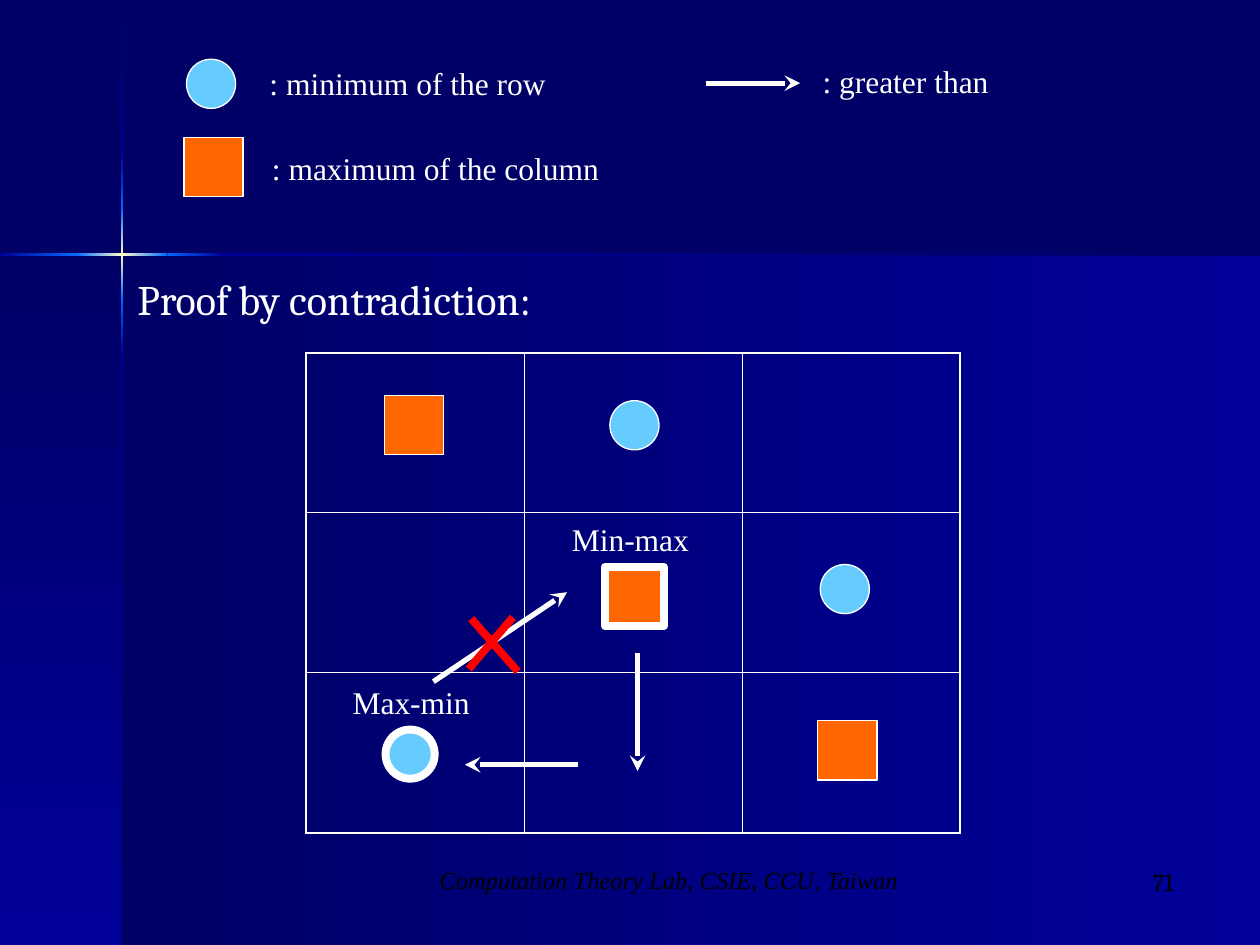
"""Build the max-min versus min-max proof slide."""
from dataclasses import dataclass
from itertools import pairwise, product
from typing import NamedTuple

from lxml.etree import SubElement
from pptx import Presentation
from pptx.dml.color import RGBColor as Rgb
from pptx.enum.shapes import MSO_CONNECTOR as Connector, MSO_SHAPE as Shape
from pptx.enum.text import MSO_ANCHOR as Anchor, PP_ALIGN as Align
from pptx.oxml.ns import qn
from pptx.util import Inches, Pt


@dataclass(frozen=True)
class Theme:
    navy: str = "000066"
    blue: str = "000099"
    glow: str = "0066FF"
    cream: str = "FFFFCC"
    white: str = "FFFFFF"
    black: str = "000000"
    red: str = "FF0000"
    sky: str = "66CCFF"
    orange: str = "FF6600"
    serif: str = "Times New Roman"
    heading: str = "Cambria"
    heading_size: float = 24
    label_size: float = 18
    footer_size: float = 14
    thin: float = 0.75
    arrow: float = 3
    thick: float = 4.5
    grid_inner: float = 0.45
    grid_outer: float = 1.08


THEME = Theme()


class Stop(NamedTuple):
    at: float
    color: str


class Marker(NamedTuple):
    left: float
    top: float
    width: float = THEME.thin


class Label(NamedTuple):
    text: str
    left: float
    top: float
    width: float
    height: float = 0.4
    size: float = THEME.label_size
    font: str = THEME.serif
    color: str = THEME.white
    align: Align = Align.LEFT
    italic: bool = False
    wrap: bool = True


class Stroke(NamedTuple):
    start: tuple[float, float]
    end: tuple[float, float]
    color: str = THEME.white
    width: float = THEME.arrow
    arrow: bool = True


VERTICAL_BEAM = [Stop(0.01, THEME.navy), Stop(1.21, THEME.blue), Stop(1.65, THEME.glow),
                 Stop(2.02, THEME.cream), Stop(2.38, THEME.glow), Stop(2.82, THEME.blue),
                 Stop(7.5, THEME.navy)]
HORIZONTAL_BEAM = [Stop(0, THEME.blue), Stop(0.6, THEME.glow), Stop(0.97, THEME.cream),
                   Stop(1.33, THEME.glow), Stop(1.77, THEME.blue), Stop(10, THEME.navy)]
ROW_MINIMA = [Marker(1.48, 0.47), Marker(4.84, 3.18), Marker(6.51, 4.48),
              Marker(3.06, 5.79, THEME.thick)]
COLUMN_MAXIMA = [Marker(1.46, 1.09), Marker(3.05, 3.14), Marker(4.8, 4.5, THEME.thick),
                 Marker(6.49, 5.72)]
HEADING = Label("Proof by contradiction:", 0.99, 2.12, 4.23, 0.5,
                THEME.heading_size, THEME.heading)
LABELS = [
    Label(": minimum of the row", 2.04, 0.46, 2.52),
    Label(": maximum of the column", 2.06, 1.13, 3.31),
    Label(": greater than", 6.43, 0.44, 2.16),
    Label("Max-min", 2.7, 5.37, 1.32),
    Label("Min-max", 4.44, 4.08, 1.13, wrap=False),
    Label("Computation Theory Lab, CSIE, CCU, Taiwan", 3.13, 6.82, 4.36, 0.5,
          THEME.footer_size, color=THEME.black, align=Align.CENTER, italic=True),
    Label("71", 7.33, 6.83, 2.08, 0.5, THEME.footer_size, THEME.heading,
          THEME.black, Align.RIGHT),
]
STROKES = [
    Stroke((3.44, 5.41), (4.5, 4.7)),
    Stroke((5.6, 0.66), (6.35, 0.66)),
    Stroke((5.06, 5.18), (5.06, 6.12)),
    Stroke((4.59, 6.07), (3.69, 6.07)),
    Stroke((4.07, 4.9), (3.72, 5.31), THEME.red, THEME.thick, False),
    Stroke((3.74, 4.91), (4.11, 5.33), THEME.red, THEME.thick, False),
]


def add_gradient(page, left: float, top: float, width: float, height: float,
                 colors: tuple[str, str], angle: int) -> None:
    """Draw a borderless rectangle with a two-colour gradient."""
    panel = page.shapes.add_shape(Shape.RECTANGLE, *map(Inches, (left, top, width, height)))
    panel.shadow.inherit = False
    panel.line.fill.background()
    panel.fill.gradient()
    panel.fill.gradient_angle = angle
    for stop, color in zip(panel.fill.gradient_stops, colors):
        stop.color.rgb = Rgb.from_string(color)


def add_backdrop(page) -> None:
    """Draw the two panels and the crossing light beams."""
    page.background.fill.solid()
    page.background.fill.fore_color.rgb = Rgb.from_string(THEME.navy)
    add_gradient(page, 0.97, 2.02, 9.03, 5.48, (THEME.navy, THEME.blue), 0)
    add_gradient(page, 0, 2.02, 0.97, 5.48, (THEME.navy, THEME.blue), 270)
    for first, last in pairwise(VERTICAL_BEAM):
        add_gradient(page, 0.96, first.at, 0.02, last.at - first.at,
                     (first.color, last.color), 270)
    for first, last in pairwise(HORIZONTAL_BEAM):
        add_gradient(page, first.at, 2.01, last.at - first.at, 0.02,
                     (first.color, last.color), 0)


def add_grid(page, size: int = 3) -> None:
    """Draw the empty square grid with a heavier outer border."""
    table = page.shapes.add_table(size, size, *map(Inches, (2.43, 2.8, 5.19, 3.81))).table
    table.first_row = table.horz_banding = False
    for row, column in product(range(size), repeat=2):
        cell = table.cell(row, column)
        properties = cell._tc.get_or_add_tcPr()
        sides = {"L": column == 0, "R": column == size - 1,
                 "T": row == 0, "B": row == size - 1}
        for side, outer in sides.items():
            width = Pt(THEME.grid_outer if outer else THEME.grid_inner)
            border = SubElement(properties, qn(f"a:ln{side}"), w=str(width))
            fill = SubElement(border, qn("a:solidFill"))
            SubElement(fill, qn("a:srgbClr"), val=THEME.white)
        cell.fill.background()


def add_marker(page, marker: Marker, kind: Shape, size: float, color: str) -> None:
    """Draw one outlined marker."""
    box = page.shapes.add_shape(kind, *map(Inches, (marker.left, marker.top, size, size)))
    box.shadow.inherit = False
    box.fill.solid()
    box.fill.fore_color.rgb = Rgb.from_string(color)
    box.line.color.rgb = Rgb.from_string(THEME.white)
    box.line.width = Pt(marker.width)


def write_label(box, label: Label) -> None:
    """Place a box and write its formatted text."""
    box.left, box.top, box.width, box.height = map(
        Inches, (label.left, label.top, label.width, label.height))
    frame = box.text_frame
    frame.word_wrap = label.wrap
    frame.vertical_anchor = Anchor.TOP
    para = frame.paragraphs[0]
    para.alignment = label.align
    span = para.add_run()
    span.text = label.text
    span.font.name, span.font.size = label.font, Pt(label.size)
    span.font.italic = label.italic
    span.font.color.rgb = Rgb.from_string(label.color)


def add_stroke(page, stroke: Stroke) -> None:
    """Draw a straight line, with an arrowhead if it has one."""
    line = page.shapes.add_connector(
        Connector.STRAIGHT, *map(Inches, (*stroke.start, *stroke.end)))
    line.line.color.rgb = Rgb.from_string(stroke.color)
    line.line.width = Pt(stroke.width)
    properties = line._element.spPr
    if stroke.arrow:
        SubElement(properties.find(qn("a:ln")), qn("a:tailEnd"), type="stealth")
    SubElement(properties, qn("a:effectLst"))


def main() -> None:
    """Build and save the deck."""
    deck = Presentation()
    deck.slide_width, deck.slide_height = Inches(10), Inches(7.5)
    page = deck.slides.add_slide(deck.slide_layouts[5])
    add_backdrop(page)
    add_grid(page)
    for marker in ROW_MINIMA:
        add_marker(page, marker, Shape.OVAL, 0.39, THEME.sky)
    for marker in COLUMN_MAXIMA:
        add_marker(page, marker, Shape.RECTANGLE, 0.47, THEME.orange)
    title = page.shapes.title
    write_label(title, HEADING)
    page.shapes._spTree.append(title._element)
    for label in LABELS:
        write_label(page.shapes.add_textbox(0, 0, 0, 0), label)
    for stroke in STROKES:
        add_stroke(page, stroke)
    deck.save("out.pptx")


if __name__ == "__main__":
    main()
